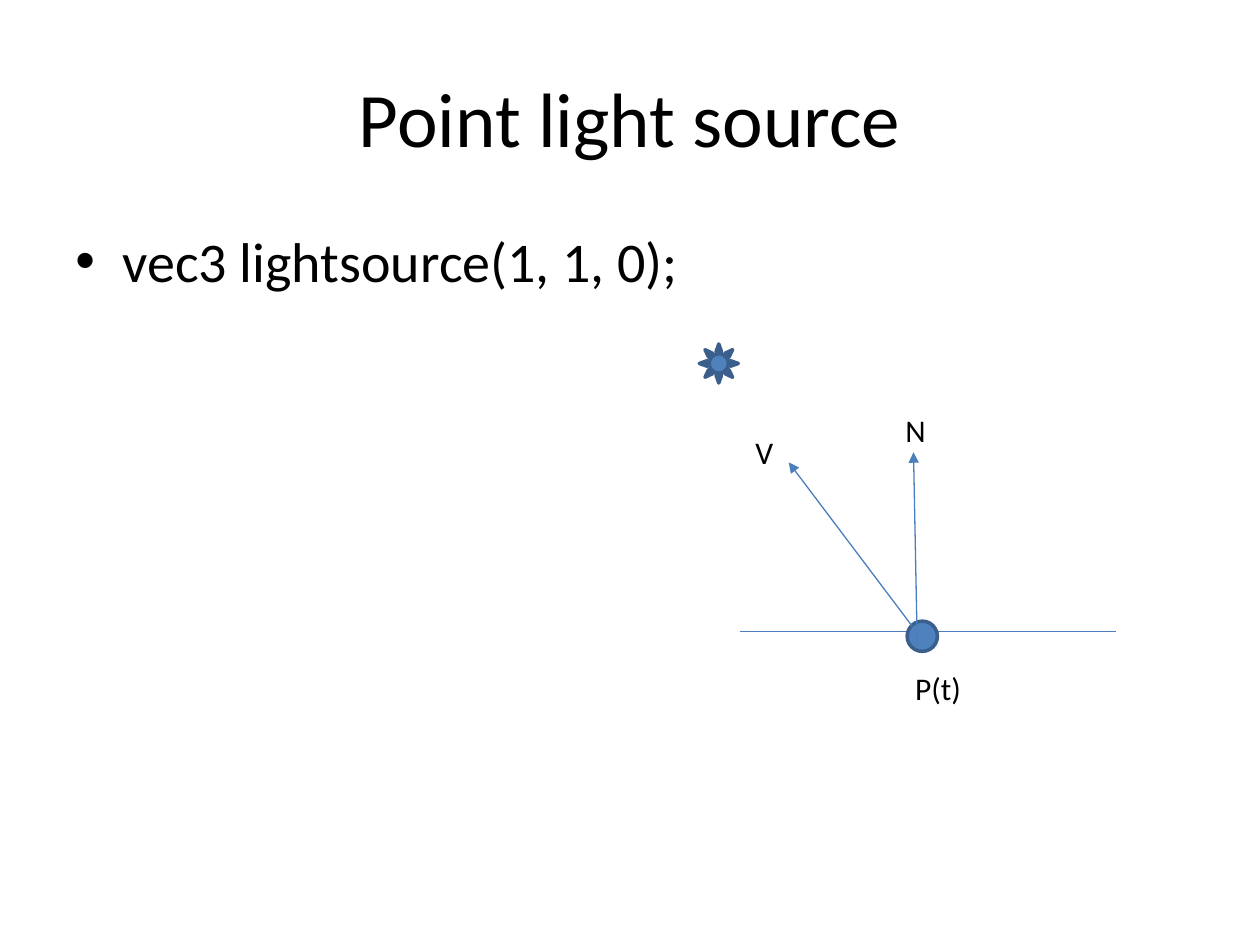
from lxml import etree
from pptx import Presentation
from pptx import util as u
from pptx.dml.color import RGBColor
from pptx.enum import shapes, text
from pptx.oxml.ns import qn

COLUMNS, ROWS = 100, 75


def color(value):
    return RGBColor.from_string(value)


def write(paragraph, content, size=18, font="Calibri", fill="000000",
          align=text.PP_ALIGN.CENTER):
    paragraph.alignment = align
    run = paragraph.add_run()
    run.text = content
    run.font.size = u.Pt(size)
    run.font.name = font
    run.font.color.rgb = color(fill)


class Diagram:
    fill = "4F81BD"
    outline = "3A5F8C"
    stroke = "4B7EBC"

    def __init__(self, presentation):
        self.column = presentation.slide_width / COLUMNS
        self.row = presentation.slide_height / ROWS
        self.slide = presentation.slides.add_slide(presentation.slide_layouts[6])

    def place(self, column, row):
        return round(column * self.column), round(row * self.row)

    def textbox(self, position, extent, content, anchor=text.MSO_ANCHOR.TOP, **style):
        box = self.slide.shapes.add_textbox(*self.place(*position), *self.place(*extent))
        box.text_frame.word_wrap = True
        box.text_frame.vertical_anchor = anchor
        paragraph = box.text_frame.paragraphs[0]
        write(paragraph, content, **style)
        return paragraph

    def bullet(self, position, extent, content, indent, size):
        paragraph = self.textbox(position, extent, content, size=size,
                                 align=text.PP_ALIGN.LEFT)
        paragraph.space_before = u.Pt(0.2 * size)
        properties = paragraph._p.get_or_add_pPr()
        margin = round(indent * self.column)
        properties.set("marL", str(margin))
        properties.set("indent", str(-margin))
        etree.SubElement(properties, qn("a:buFont"), typeface="Arial")
        etree.SubElement(properties, qn("a:buChar"), char="•")

    def marker(self, kind, position, diameter):
        shape = self.slide.shapes.add_shape(
            kind, *self.place(*position), *self.place(diameter, diameter))
        shape.shadow.inherit = False
        shape.fill.solid()
        shape.fill.fore_color.rgb = color(self.fill)
        shape.line.color.rgb = color(self.outline)
        shape.line.width = u.Pt(2)

    def line(self, start, end, arrow=False):
        connector = self.slide.shapes.add_connector(
            shapes.MSO_CONNECTOR.STRAIGHT, *self.place(*start), *self.place(*end))
        connector.line.color.rgb = color(self.stroke)
        connector.line.width = u.Pt(0.75)
        if arrow:
            etree.SubElement(connector.line._get_or_add_ln(), qn("a:tailEnd"),
                             type="triangle")
        etree.SubElement(connector._element.spPr, qn("a:effectLst"))


def main():
    presentation = Presentation()
    presentation.slide_width = u.Inches(10)
    presentation.slide_height = u.Inches(7.5)

    diagram = Diagram(presentation)
    diagram.textbox((5, 3), (90, 12.5), "Point light source",
                    anchor=text.MSO_ANCHOR.MIDDLE, size=44)
    diagram.bullet((5, 17.5), (90, 49.5), "vec3 lightsource(1, 1, 0);",
                   indent=3.75, size=32)

    diagram.marker(shapes.MSO_SHAPE.SUN, (55.5, 27.3), 3.1)
    diagram.line((58.7, 50.1), (88.6, 50.1))
    diagram.marker(shapes.MSO_SHAPE.OVAL, (72, 49.3), 2.4)
    diagram.line((72.8, 51.3), (72.5, 35.9), arrow=True)
    diagram.line((72.4, 49.7), (62.6, 36.7), arrow=True)

    labels = {"N": (68.7, 32.1), "V": (56.7, 33.9), "P(t)": (70.5, 52.6)}
    for label, position in labels.items():
        diagram.textbox(position, (7.9, 4), label)

    presentation.save("out.pptx")


if __name__ == "__main__":
    main()
